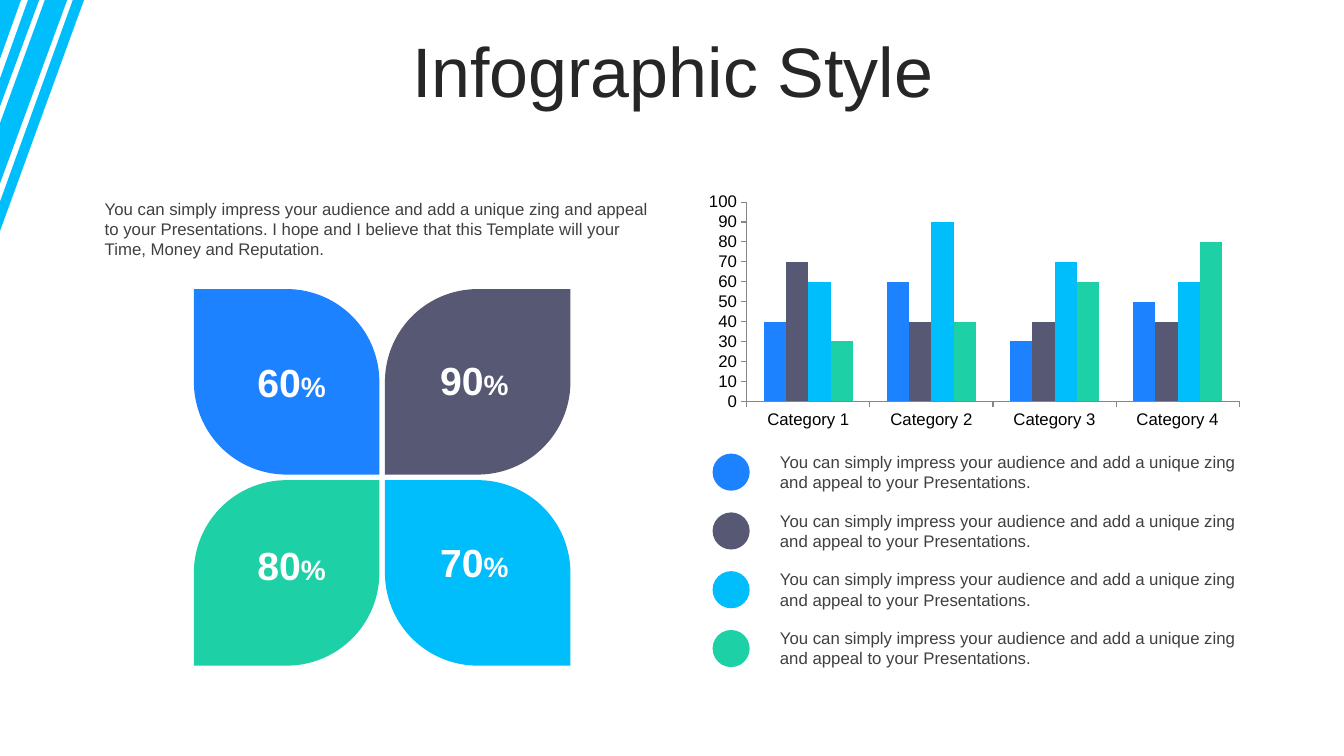
from pptx import Presentation
from pptx.chart.data import CategoryChartData
from pptx.dml.color import RGBColor
from pptx.enum.chart import XL_CHART_TYPE, XL_TICK_MARK
from pptx.enum.shapes import MSO_SHAPE
from pptx.enum.text import MSO_ANCHOR, PP_ALIGN
from pptx.util import Pt

COLUMNS = XL_CHART_TYPE.COLUMN_CLUSTERED
TICK_OUT = XL_TICK_MARK.OUTSIDE
ELLIPSE = MSO_SHAPE.OVAL
LEAF = MSO_SHAPE.ROUND_2_DIAG_RECTANGLE
MIDDLE, TOP = MSO_ANCHOR.MIDDLE, MSO_ANCHOR.TOP
CENTER, LEFT = PP_ALIGN.CENTER, PP_ALIGN.LEFT

BLUE = RGBColor(0x1C, 0x82, 0xFF)
SLATE = RGBColor(0x56, 0x58, 0x74)
CYAN = RGBColor(0x00, 0xBD, 0xFB)
GREEN = RGBColor(0x1E, 0xD0, 0xA6)
WHITE = RGBColor(0xFF, 0xFF, 0xFF)
BLACK = RGBColor(0x00, 0x00, 0x00)
TITLE_INK = RGBColor(0x26, 0x26, 0x26)
BODY_INK = RGBColor(0x40, 0x40, 0x40)
AXIS_GRAY = RGBColor(0x86, 0x86, 0x86)

INTRO = ("You can simply impress your audience and add a unique zing and appeal "
         "to your Presentations. I hope and I believe that this Template will your "
         "Time, Money and Reputation.")
LEGEND_NOTE = ("You can simply impress your audience and add a unique zing "
               "and appeal to your Presentations.")

# Values and colour of each series
SERIES = [
    ("Series 1", (40, 60, 30, 50), BLUE),
    ("Series 2", (70, 40, 40, 40), SLATE),
    ("Series 3", (60, 90, 70, 60), CYAN),
    ("Series 4", (30, 40, 60, 80), GREEN),
]
# Column, row, percentage and colour of each petal
PETALS = [
    (0, 0, "60", BLUE),
    (1, 0, "90", SLATE),
    (0, 1, "80", GREEN),
    (1, 1, "70", CYAN),
]
# Corner stripes, in points
STRIPES = [
    [(52.5, 0), (60, 0), (0, 165), (0, 144)],
    [(28, 0), (0, 76.5), (0, 55.5), (20, 0)],
    [(47.5, 0), (0, 131), (0, 88.5), (32.5, 0)],
    [(0, 0), (15, 0), (0, 42.5)],
]


class InfographicSlide:
    font = "Arial"

    def __init__(self, slide):
        self.slide = slide
        self.shapes = slide.shapes

    def add_runs(self, frame, runs, color, align=LEFT, anchor=TOP, bold=False):
        frame.word_wrap = True
        frame.vertical_anchor = anchor
        paragraph = frame.paragraphs[0]
        paragraph.alignment = align
        for words, size in runs:
            run = paragraph.add_run()
            run.text = words
            run.font.name = self.font
            run.font.size = Pt(size)
            run.font.bold = bold
            run.font.color.rgb = color
        return paragraph

    def title(self, words, left, top, width, height):
        heading = self.shapes.title
        heading.left, heading.top = Pt(left), Pt(top)
        heading.width, heading.height = Pt(width), Pt(height)
        paragraph = self.add_runs(heading.text_frame, [(words, 50)], TITLE_INK,
                                  CENTER, MIDDLE)
        paragraph.line_spacing = 0.8

    def text(self, runs, left, top, width, height, color=BODY_INK, **style):
        box = self.shapes.add_textbox(Pt(left), Pt(top), Pt(width), Pt(height))
        self.add_runs(box.text_frame, runs, color, **style)

    def paint(self, shape, color):
        shape.shadow.inherit = False
        shape.fill.solid()
        shape.fill.fore_color.rgb = color
        shape.line.fill.background()

    def shape(self, kind, left, top, size, color, corners=()):
        figure = self.shapes.add_shape(kind, Pt(left), Pt(top), Pt(size), Pt(size))
        for index, rounding in enumerate(corners):
            figure.adjustments[index] = rounding
        self.paint(figure, color)

    def polygons(self, outlines, color):
        builder = self.shapes.build_freeform(*outlines[0][0], scale=Pt(1))
        for index, (start, *others) in enumerate(outlines):
            if index:
                builder.move_to(*start)
            builder.add_line_segments(others, close=True)
        self.paint(builder.convert_to_shape(), color)

    def column_chart(self, categories, series, left, top, width, height):
        data = CategoryChartData()
        data.categories = categories
        for name, values, _ in series:
            data.add_series(name, values)
        chart = self.shapes.add_chart(COLUMNS, Pt(left), Pt(top), Pt(width),
                                      Pt(height), data).chart
        chart.has_legend = False
        chart.has_title = False
        chart.font.name = self.font
        chart.font.size = Pt(18)
        chart.font.color.rgb = BLACK
        plot = chart.plots[0]
        plot.gap_width = 150
        plot.overlap = 0
        plot.vary_by_categories = False
        for columns, (_, _, color) in zip(plot.series, series):
            columns.format.fill.solid()
            columns.format.fill.fore_color.rgb = color
        for axis in (chart.category_axis, chart.value_axis):
            axis.has_major_gridlines = False
            axis.major_tick_mark = TICK_OUT
            axis.tick_labels.font.name = self.font
            axis.tick_labels.font.size = Pt(12)
            axis.tick_labels.font.color.rgb = BLACK
            axis.format.line.color.rgb = AXIS_GRAY
            axis.format.line.width = Pt(0.75)
        chart.value_axis.minimum_scale = 0
        chart.value_axis.maximum_scale = 100
        chart.value_axis.major_unit = 10


def main():
    deck = Presentation()
    deck.slide_width, deck.slide_height = Pt(960), Pt(540)
    title_only = deck.slide_layouts[5]
    page = InfographicSlide(deck.slides.add_slide(title_only))

    # Corner stripes and title
    page.polygons(STRIPES, CYAN)
    page.title("Infographic Style", 25, 26.5, 911.5, 57)

    # Four-petal flower: sharp corners along one diagonal of each petal
    for column, row, _, color in PETALS:
        corners = (0, 0.5) if column == row else (0.5, 0)
        page.shape(LEAF, 138.5 + 136.5 * column, 206.5 + 136.5 * row, 132.5,
                   color, corners)
    for column, row, percent, _ in PETALS:
        page.text([(percent, 28), ("%", 20)],
                  171.5 + 130.5 * column, 252.5 + 130.5 * row - 2 * column,
                  73.5, 41, WHITE, align=CENTER, anchor=MIDDLE, bold=True)

    # Introduction
    page.text([(INTRO, 12)], 67.75, 138.5, 412.5, 51)

    # Column chart
    categories = [f"Category {number}" for number in range(1, 5)]
    page.column_chart(categories, SERIES, 498.5, 134.5, 394.5, 175.5)

    # Legend below the chart
    for index, (_, _, color) in enumerate(SERIES):
        drop = 42 * index
        page.shape(ELLIPSE, 509, 324 + drop, 26.5, color)
        page.text([(LEGEND_NOTE, 12)], 550, 319 + drop, 345, 36)

    deck.save("out.pptx")


if __name__ == "__main__":
    main()
